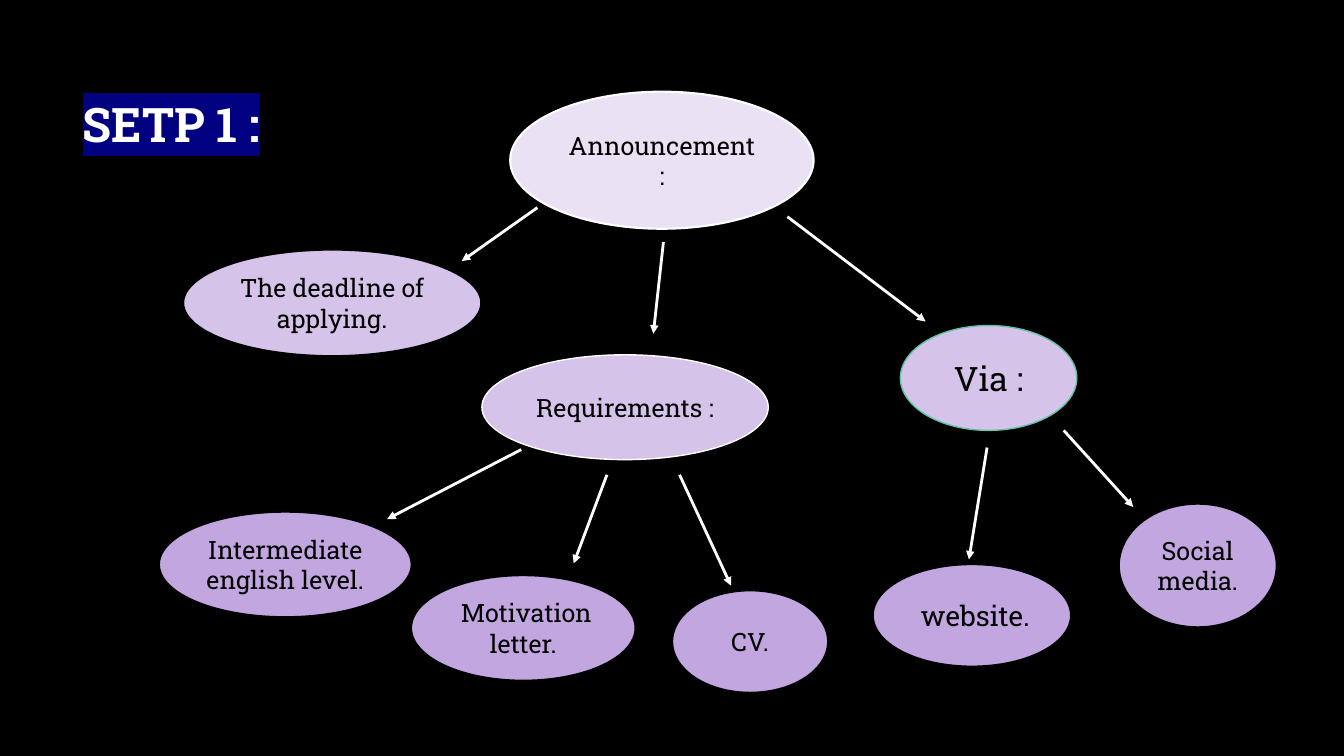
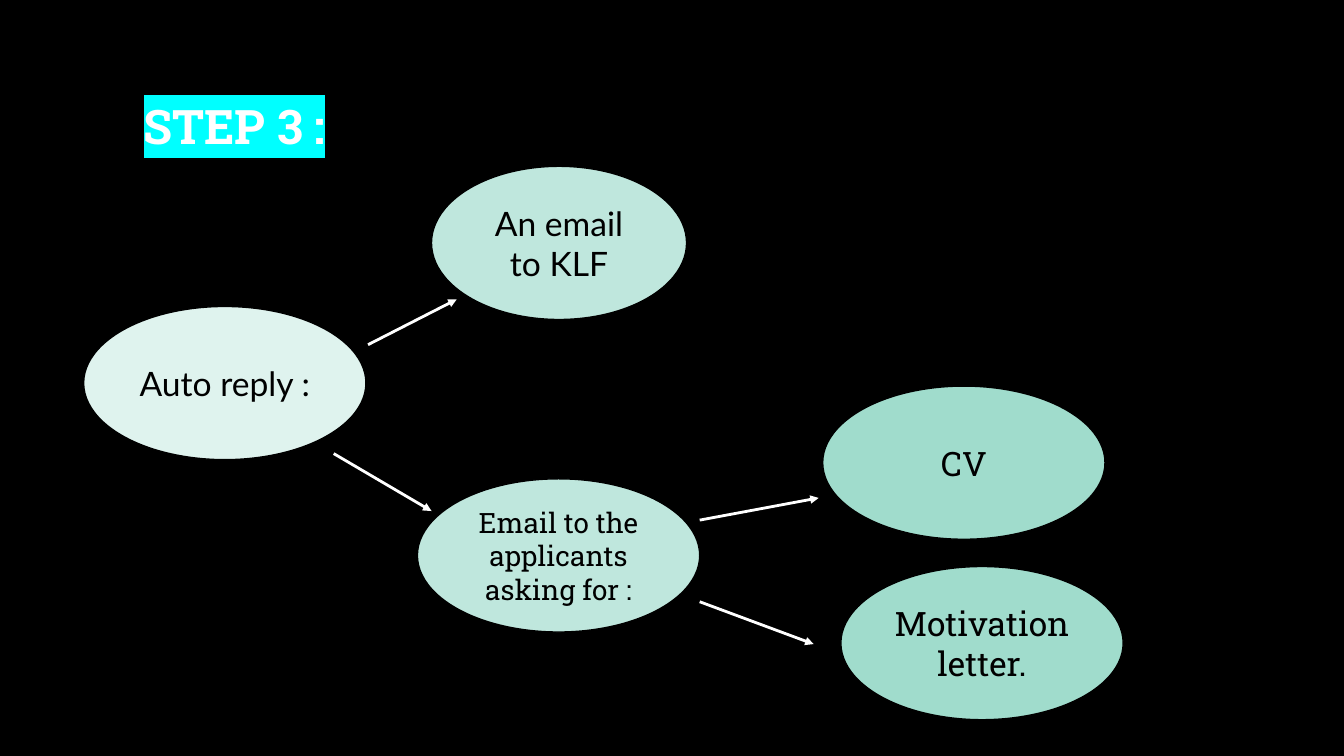
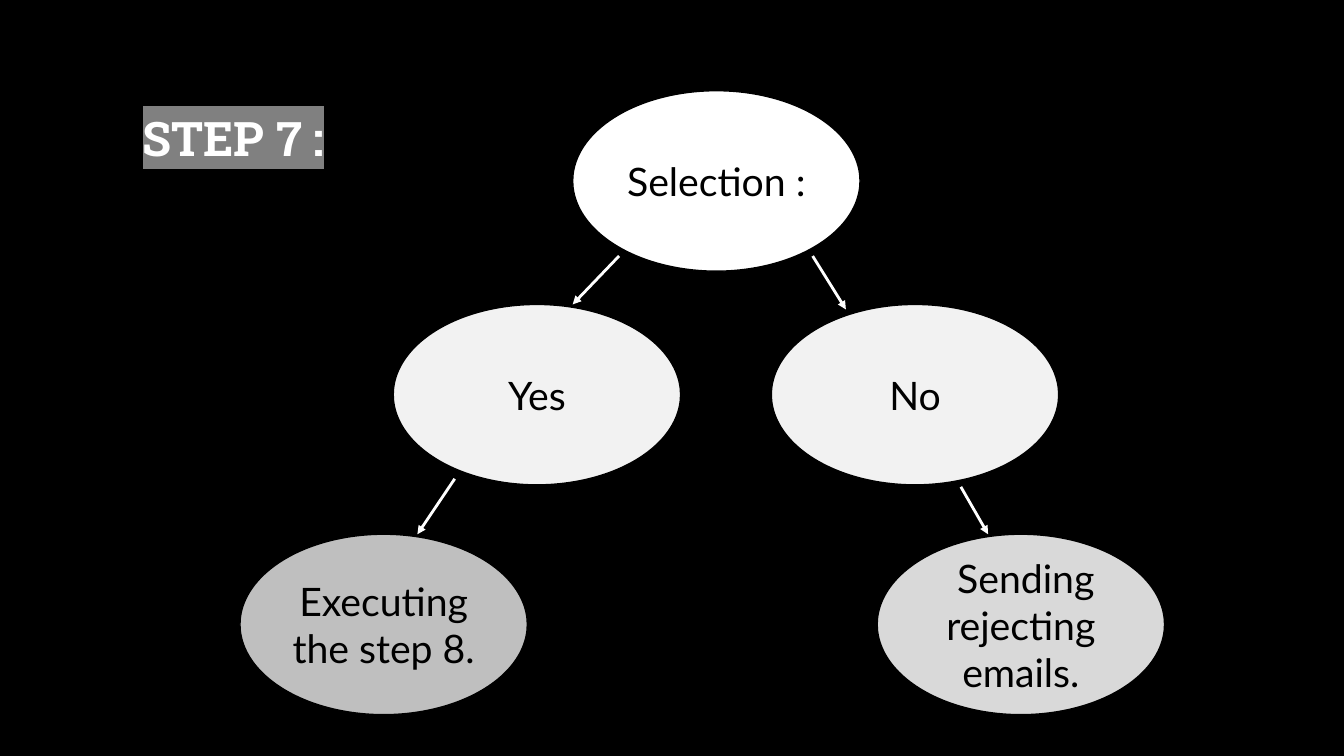
import dataclasses

import pptx
import pptx.dml.color
import pptx.enum.shapes
import pptx.enum.text
import pptx.oxml.ns
import pptx.util
from lxml import etree

Inches = pptx.util.Inches
Pt = pptx.util.Pt


@dataclasses.dataclass(frozen=True)
class Theme:
    """Colours, fonts and type sizes of the whole deck."""
    black: str = "000000"
    white: str = "FFFFFF"
    mint_line: str = "60C4AA"
    # Highlights behind the step titles
    navy: str = "000080"
    cyan: str = "00FFFF"
    gray: str = "808080"
    # Fills, from the root of a tree to its leaves
    lilacs: tuple = ("EAE1F4", "D5C3E9", "C1A6DF")
    mints: tuple = ("DFF3EE", "BFE7DD", "A0DCCC")
    grays: tuple = ("FFFFFF", "F2F2F2", "D9D9D9", "BFBFBF")
    slab: str = "Roboto Slab"
    sans: str = "Lato"
    title: int = 34
    huge: int = 28
    large: int = 24
    medium: int = 20
    small: int = 18
    outline: float = 1
    root_outline: float = 1.5
    arrow: float = 2


THEME = Theme()


def rgb(value):
    return pptx.dml.color.RGBColor.from_string(value)


def write(frame, text, *, size, font, color, bold=False, highlight=None, spacing=None):
    """Put one centred paragraph of formatted text in a text frame."""
    frame.word_wrap = True
    frame.vertical_anchor = pptx.enum.text.MSO_ANCHOR.MIDDLE
    paragraph = frame.paragraphs[0]
    paragraph.alignment = pptx.enum.text.PP_ALIGN.CENTER
    if spacing:
        paragraph.line_spacing = spacing
    run = paragraph.add_run()
    run.text = text
    run.font.size = Pt(size)
    run.font.name = font
    run.font.bold = bold
    run.font.color.rgb = rgb(color)
    if highlight:
        qn = pptx.oxml.ns.qn
        mark = etree.Element(qn("a:highlight"))
        etree.SubElement(mark, qn("a:srgbClr"), val=highlight)
        run.font._element.find(qn("a:solidFill")).addnext(mark)


class Deck:
    """Holds the theme and the slide being drawn."""

    def __init__(self, theme):
        self.theme = theme
        self.show = pptx.Presentation()
        self.show.slide_width = Inches(13.33)
        self.show.slide_height = Inches(7.5)
        backdrop = self.show.slide_master.background.fill
        backdrop.solid()
        backdrop.fore_color.rgb = rgb(theme.black)
        self.slide = None

    def step(self, text, box, highlight):
        """Start a slide with its highlighted step title."""
        self.slide = self.show.slides.add_slide(self.show.slide_layouts[5])
        heading = self.slide.shapes.title
        heading.left, heading.top, heading.width, heading.height = map(Inches, box)
        heading.text_frame.auto_size = pptx.enum.text.MSO_AUTO_SIZE.NONE
        write(heading.text_frame, text, size=self.theme.title, font=self.theme.slab,
              color=self.theme.white, bold=True, highlight=highlight, spacing=0.9)

    def bubble(self, text, place, extent, fill, *, size, font=None, line=None, weight=None):
        """Draw an ellipse with a label."""
        theme = self.theme
        oval = self.slide.shapes.add_shape(
            pptx.enum.shapes.MSO_SHAPE.OVAL, *map(Inches, (*place, *extent)))
        oval.shadow.inherit = False
        oval.fill.solid()
        oval.fill.fore_color.rgb = rgb(fill)
        oval.line.color.rgb = rgb(line or theme.black)
        oval.line.width = Pt(weight or theme.outline)
        write(oval.text_frame, text, size=size, font=font or theme.slab, color=theme.black)

    def arrows(self, *routes):
        """Draw an arrow for each (x1, y1, x2, y2)."""
        qn = pptx.oxml.ns.qn
        for route in routes:
            arrow = self.slide.shapes.add_connector(
                pptx.enum.shapes.MSO_CONNECTOR.STRAIGHT, *map(Inches, route))
            arrow.line.color.rgb = rgb(self.theme.white)
            arrow.line.width = Pt(self.theme.arrow)
            etree.SubElement(arrow.line._get_or_add_ln(), qn("a:tailEnd"), type="triangle")
            etree.SubElement(arrow._element.spPr, qn("a:effectLst"))


def announcement(deck):
    theme = deck.theme
    root, branch, leaf = theme.lilacs
    deck.step("SETP 1 :", (0, 0.53, 3.4, 1.47), theme.navy)

    # Announcement and its three branches
    deck.bubble("Announcement :", (5.06, 0.91), (3.01, 1.36), root, size=theme.small,
                line=theme.white, weight=theme.root_outline)
    deck.bubble("Via :", (8.93, 3.23), (1.75, 1.04), branch, size=theme.large,
                line=theme.mint_line)
    deck.bubble("Requirements :", (4.78, 3.52), (2.84, 1.04), branch, size=theme.small,
                line=theme.white)
    deck.bubble("The deadline of applying.", (1.82, 2.48), (2.95, 1.05), branch,
                size=theme.small)
    deck.arrows((7.81, 2.15, 9.18, 3.19), (6.58, 2.4, 6.48, 3.31), (5.33, 2.06, 4.58, 2.59))

    # Channels and requirements
    for text, place, extent, size in (
            ("Social media.", (11.1, 5), (1.56, 1.22), theme.small),
            (" website.", (8.66, 5.6), (1.96, 1.01), theme.medium),
            ("CV.", (6.67, 5.86), (1.54, 1.01), theme.small),
            (" Motivation letter.", (4.08, 5.71), (2.22, 1.04), theme.small),
            ("Intermediate english level.", (1.58, 5.08), (2.5, 1.04), theme.small)):
        deck.bubble(text, place, extent, leaf, size=size)
    deck.arrows((10.55, 4.27, 11.24, 5.03), (9.79, 4.44, 9.61, 5.55),
                (6.74, 4.71, 7.25, 5.81), (6.02, 4.71, 5.69, 5.59),
                (5.17, 4.46, 3.84, 5.15))


def auto_reply(deck):
    theme = deck.theme
    root, branch, leaf = theme.mints
    wide, narrow = (2.8, 1.52), (2.53, 1.52)
    deck.step("STEP 3 :", (1, 0.67, 2.65, 1.23), theme.cyan)

    # Reply, its two emails and the documents asked for
    for text, place, extent, fill, size, font in (
            ("Auto reply :", (0.83, 3.04), wide, root, theme.large, theme.sans),
            ("An email to KLF", (4.28, 1.65), narrow, branch, theme.large, theme.sans),
            ("Email to the applicants asking for :", (4.14, 4.75), wide, branch,
             theme.medium, theme.slab),
            ("CV", (8.16, 3.83), wide, leaf, theme.large, theme.slab),
            ("Motivation letter.", (8.34, 5.62), wide, leaf, theme.large, theme.slab)):
        deck.bubble(text, place, extent, fill, size=size, font=font)
    deck.arrows((3.65, 3.42, 4.53, 2.97), (3.31, 4.5, 4.28, 5.07),
                (6.94, 5.97, 8.07, 6.39), (6.94, 5.16, 8.12, 4.94))


def selection(deck):
    theme = deck.theme
    root, answer, rejection, execution = theme.grays
    root_row, answer_row, outcome_row = 0.9, 3.02, 5.3
    deck.step("STEP 7 :", (1, 0.67, 2.63, 1.45), theme.gray)

    # Decision, answers and outcomes
    for text, left, top, fill in (
            ("Selection :", 5.68, root_row, root),
            ("Yes", 3.9, answer_row, answer),
            ("No", 7.65, answer_row, answer),
            ("Executing the step 8.", 2.38, outcome_row, execution),
            (" Sending rejecting emails.", 8.7, outcome_row, rejection)):
        deck.bubble(text, (left, top), (2.85, 1.79), fill, size=theme.huge, font=theme.sans)
    deck.arrows((6.14, 2.54, 5.68, answer_row), (8.06, 2.54, 8.39, 3.07),
                (4.51, 4.75, 4.14, outcome_row), (9.53, 4.83, 9.8, outcome_row))


def main():
    deck = Deck(THEME)
    announcement(deck)
    auto_reply(deck)
    selection(deck)
    deck.show.save("out.pptx")


if __name__ == "__main__":
    main()
